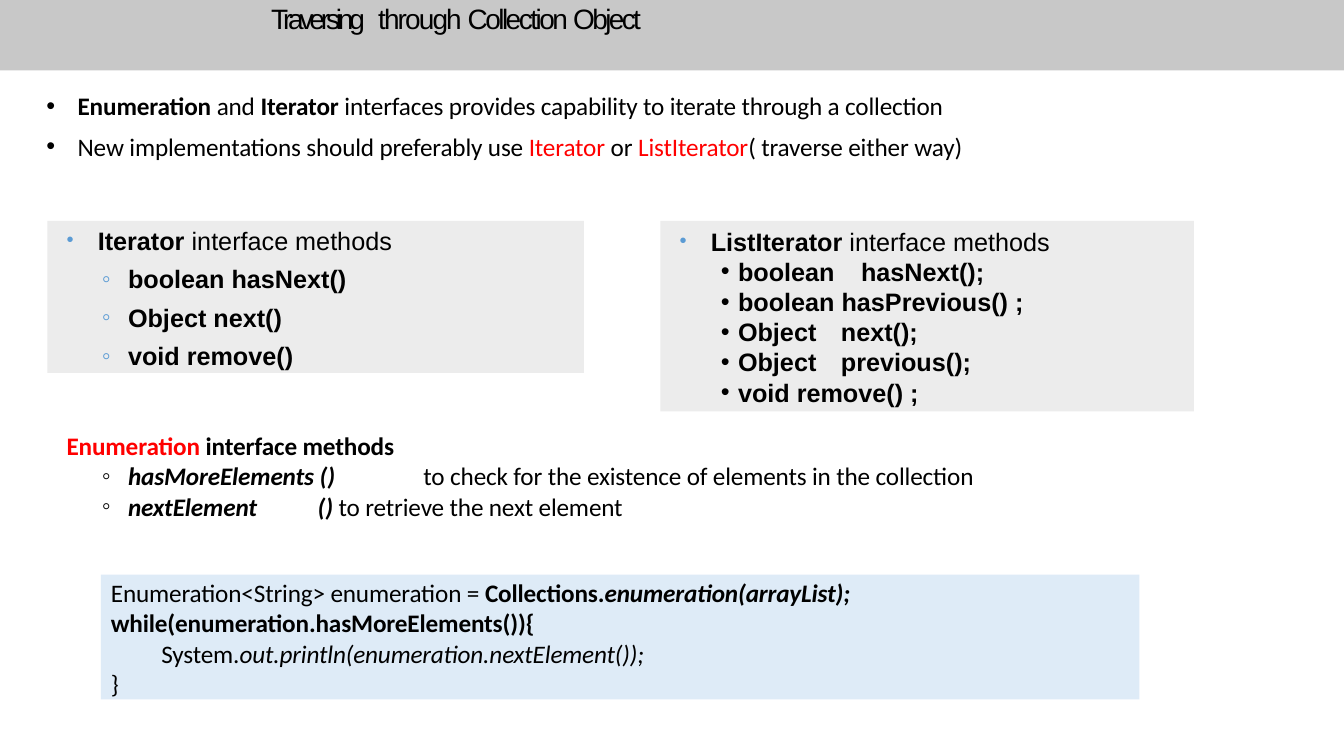
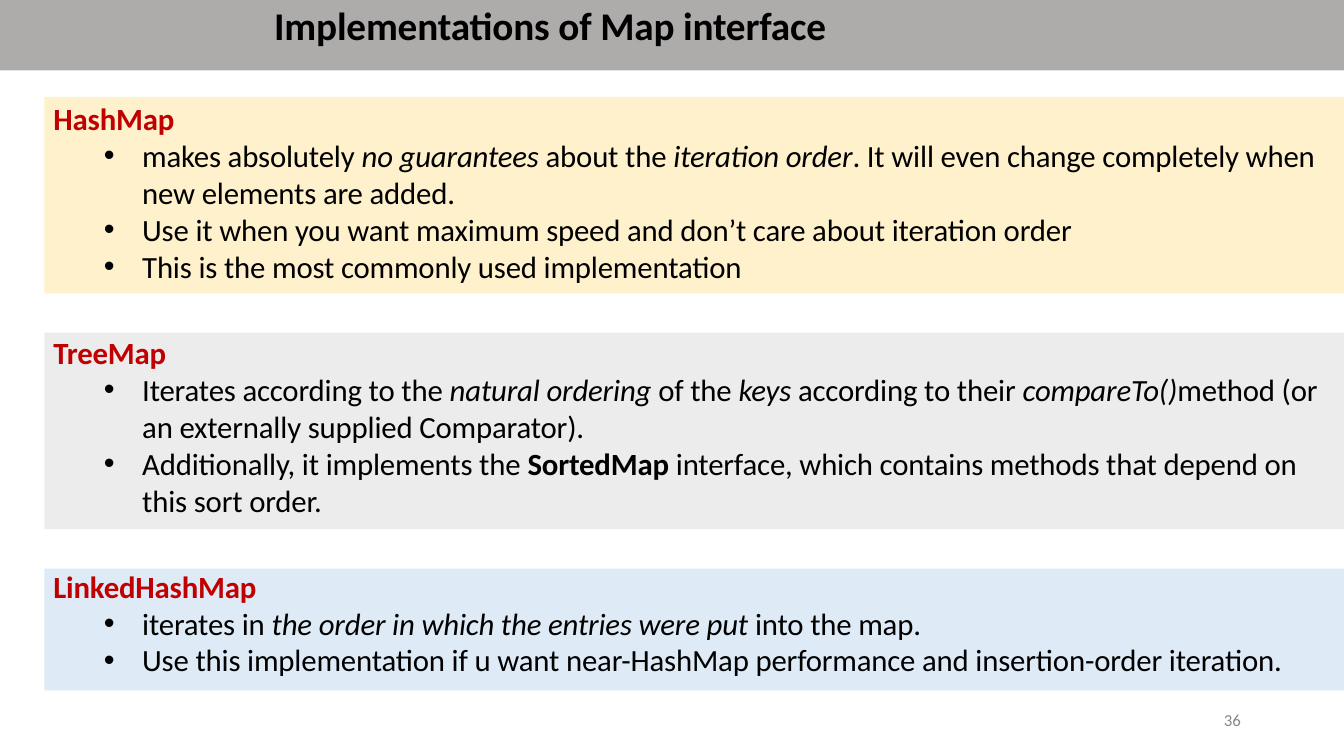
import lxml.etree
import pptx
import pptx.dml.color
import pptx.enum.shapes
import pptx.enum.text
import pptx.oxml.ns
import pptx.util

EMU_PER_PX = 9144
SLIDE_WIDTH, SLIDE_HEIGHT = 1333, 750
TITLE_ONLY, TITLE_AND_BODY = 5, 1

BLACK, RED, DARK_RED, BULLET_BLUE = "000000", "FF0000", "C00000", "5B9BD4"
GREY, PALE_BLUE, PALE_YELLOW = "ECECEC", "DEEBF7", "FFF1CC"

BOLD = {"bold": True}
ITALIC = {"italic": True}
BOLD_ITALIC = BOLD | ITALIC
HIGHLIGHT = {"color": RED}

CALIBRI = {"name": "Calibri", "size": 18, "color": BLACK, "spacing": -0.1}
ARIAL = {"name": "Arial", "size": 18, "color": BLACK}
LARGE = CALIBRI | {"size": 22}

PLAIN = {"left": 1}
TOP_BULLET = {"left": 32, "hang": 31, "bullet": "•"}
PANEL_BULLET = {"left": 50, "hang": 31, "bullet": "•",
                "bullet_colour": BULLET_BLUE, "bullet_size": 80}
RING = {"left": 80, "hang": 26, "bullet": "◦", "level": 1,
        "bullet_colour": BULLET_BLUE, "before": 6}
DOT = {"left": 77, "hang": 17, "bullet": "•", "level": 1, "line": 21.6}
MAP_BULLET = {"left": 89, "hang": 38, "bullet": "•"}


def px(length):
    return pptx.util.Emu(length * EMU_PER_PX)


def colour(value):
    return pptx.dml.color.RGBColor.from_string(value)


def add_child(parent, tag, **attributes):
    child = lxml.etree.SubElement(parent, pptx.oxml.ns.qn(tag))
    for name, value in attributes.items():
        child.set(name, str(value))
    return child


def set_attributes(target, values):
    for name, value in values.items():
        setattr(target, name, value)


def place(shape, box):
    names = ("left", "top", "width", "height")
    set_attributes(shape, {name: px(value) for name, value in zip(names, box)})


def format_paragraph(paragraph, style):
    properties = paragraph._p.get_or_add_pPr()
    hang = style.get("hang", 0)
    properties.set("marL", str(px(style["left"])))
    properties.set("indent", str(px(-hang)))
    if "bullet" in style:
        if "bullet_colour" in style:
            bullet_colour = add_child(properties, "a:buClr")
            add_child(bullet_colour, "a:srgbClr", val=style["bullet_colour"])
        if "bullet_size" in style:
            add_child(properties, "a:buSzPct", val=style["bullet_size"] * 1000)
        add_child(properties, "a:buFont", typeface="Arial")
        add_child(properties, "a:buChar", char=style["bullet"])
    else:
        add_child(properties, "a:buNone")
    if "tab" in style:
        tabs = add_child(properties, "a:tabLst")
        add_child(tabs, "a:tab", pos=px(style["tab"]), algn="l")
    set_attributes(paragraph, {
        "level": style.get("level", 0),
        "alignment": pptx.enum.text.PP_ALIGN.LEFT,
        "space_before": pptx.util.Pt(style.get("before", 0)),
        "space_after": pptx.util.Pt(0),
        "line_spacing": pptx.util.Pt(style["line"]) if "line" in style else 1.0,
    })


def add_run(paragraph, text, style):
    run = paragraph.add_run()
    run.text = text
    run.font.color.rgb = colour(style["color"])
    set_attributes(run.font, {
        "name": style["name"],
        "size": pptx.util.Pt(style["size"]),
        "bold": style.get("bold", False),
        "italic": style.get("italic", False),
    })
    if "spacing" in style:
        run._r.get_or_add_rPr().set("spc", str(round(style["spacing"] * 100)))


def write_text(shape, font, paragraphs, inset_top=1):
    frame = shape.text_frame
    set_attributes(frame, {
        "word_wrap": True,
        "auto_size": pptx.enum.text.MSO_AUTO_SIZE.NONE,
        "vertical_anchor": pptx.enum.text.MSO_ANCHOR.TOP,
        "margin_left": 0, "margin_right": 0, "margin_bottom": 0,
        "margin_top": px(inset_top),
    })
    for index, (style, runs) in enumerate(paragraphs):
        paragraph = frame.add_paragraph() if index else frame.paragraphs[0]
        format_paragraph(paragraph, style)
        for run in runs:
            text, changes = (run, {}) if isinstance(run, str) else run
            add_run(paragraph, text, font | changes)


def add_panel(slide, box, fill):
    panel = slide.shapes.add_shape(
        pptx.enum.shapes.MSO_SHAPE.RECTANGLE, *map(px, box))
    panel.shadow.inherit = False
    panel.fill.solid()
    panel.fill.fore_color.rgb = colour(fill)
    panel.line.fill.background()
    panel.element.getparent().insert(2, panel.element)
    return panel


def add_text_box(slide, box, font, paragraphs):
    text_box = slide.shapes.add_textbox(*map(px, box))
    write_text(text_box, font, paragraphs)


def add_titled_slide(presentation, layout, band_fill, title_left, font, runs):
    slide = presentation.slides.add_slide(presentation.slide_layouts[layout])
    add_panel(slide, (0, 0, SLIDE_WIDTH, 70), band_fill)
    place(slide.shapes.title, (title_left, 0, 795, 48))
    write_text(slide.shapes.title, font, [(PLAIN, runs)])
    return slide


def add_body(slide, box, font, paragraphs, inset_top=1):
    body = slide.placeholders[1]
    place(body, box)
    write_text(body, font, paragraphs, inset_top)


def add_iterator_panels(slide, box):
    left, top, width, height = box
    iterator = add_panel(slide, (left, top, 532, 151), GREY)
    methods = ("boolean hasNext()", "Object next()", "void remove()")
    write_text(iterator, ARIAL, [
        (PANEL_BULLET, [("Iterator ", BOLD), "interface methods"]),
        *[(RING, [(method, BOLD)]) for method in methods],
    ], 4)
    list_left = left + 608
    list_iterator = add_panel(
        slide, (list_left, top, left + width - list_left, height), GREY)
    list_methods = (
        ("boolean\thasNext();", 199),
        ("boolean hasPrevious() ;", 199),
        ("Object\tnext();", 179),
        ("Object\tprevious();", 179),
        ("void remove() ;", 179),
    )
    write_text(list_iterator, ARIAL, [
        (PANEL_BULLET | {"line": 25.2},
         [("ListIterator ", BOLD), "interface methods"]),
        *[(DOT | {"tab": tab}, [(method, BOLD)]) for method, tab in list_methods],
    ], 0)


def add_enumeration_methods(slide, box):
    item = {"left": 62, "hang": 26, "bullet": "◦"}
    add_text_box(slide, box, CALIBRI, [
        (PLAIN, [("Enumeration ", BOLD | HIGHLIGHT), ("interface methods", BOLD)]),
        (item | {"tab": 355}, [
            ("hasMoreElements ()\t", BOLD_ITALIC),
            "to check for the existence of elements in the collection"]),
        (item | {"tab": 250}, [
            ("nextElement\t() ", BOLD_ITALIC), "to retrieve the next element"]),
    ])


def add_code_panel(slide, box):
    code, nested = {"left": 10}, {"left": 60}
    write_text(add_panel(slide, box, PALE_BLUE), CALIBRI, [
        (code, ["Enumeration<String> enumeration = ", ("Collections.", BOLD),
                ("enumeration(arrayList);", BOLD_ITALIC)]),
        (code, [("while(enumeration.hasMoreElements()){", BOLD)]),
        (nested, ["System.",
                  ("out.println(enumeration.nextElement());", ITALIC)]),
        (code, ["}"]),
    ], 3)


def build_traversing_slide(presentation):
    slide = add_titled_slide(
        presentation, TITLE_AND_BODY, "C8C8C8", 268, ARIAL | {"size": 20}, [
            ("Traversing", {"spacing": -3}), (" ", {"spacing": 4}),
            ("through ", {"spacing": -1.4}), ("Collection ", {"spacing": -1.8}),
            ("Object", {"spacing": -1.9})])
    add_body(slide, (45, 79, 1221, 82), CALIBRI, [
        (TOP_BULLET, [
            ("Enumeration ", BOLD), "and ", ("Iterator ", BOLD),
            "interfaces provides capability to iterate through a collection"]),
        (TOP_BULLET | {"before": 7.2}, [
            "New implementations should preferably use ",
            ("Iterator ", HIGHLIGHT), "or ", ("ListIterator", HIGHLIGHT),
            "( traverse either way)"]),
    ], 11)
    add_iterator_panels(slide, (47, 219, 1137, 189))
    add_enumeration_methods(slide, (65, 426, 1095, 92))
    add_code_panel(slide, (100, 570, 1030, 124))


def add_map_sections(slide, box, sections):
    left, top, width, gap = box
    paragraphs = []
    panel_top = top
    for name, fill, height, items in sections:
        add_panel(slide, (left, panel_top, width, height), fill)
        panel_top += height + gap
        heading = PLAIN | {"before": 35 if paragraphs else 0}
        paragraphs.append((heading, [(name, BOLD | {"color": DARK_RED})]))
        paragraphs += [(MAP_BULLET, runs) for runs in items]
    add_body(slide, (left + 8, top + 2, 1270, 579), LARGE, paragraphs)


def build_map_slide(presentation):
    slide = add_titled_slide(
        presentation, TITLE_AND_BODY, "AEABAB", 271,
        CALIBRI | BOLD | {"size": 28}, ["Implementations of Map interface"])
    add_map_sections(slide, (44, 96, 1289, 39), [
        ("HashMap", PALE_YELLOW, 195, [
            ["makes absolutely ", ("no guarantees ", ITALIC), "about the ",
             ("iteration order", ITALIC),
             ". It will even change completely when new elements are added."],
            ["Use it when you want maximum speed and don’t care about "
             "iteration order"],
            ["This is the most commonly used implementation"]]),
        ("TreeMap", GREY, 195, [
            ["Iterates according to the ", ("natural ordering ", ITALIC),
             "of the ", ("keys ", ITALIC), "according to their ",
             ("compareTo()", ITALIC),
             "method (or an externally supplied Comparator)."],
            ["Additionally, it implements the ", ("SortedMap ", BOLD),
             "interface, which contains methods that depend on "
             "this sort order."]]),
        ("LinkedHashMap", PALE_BLUE, 121, [
            ["iterates in ", ("the order in which the entries were put ", ITALIC),
             "into the map."],
            ["Use this implementation if u want near-HashMap performance and "
             "insertion-order iteration."]]),
    ])
    add_text_box(slide, (1213, 703, 30, 23),
                 CALIBRI | {"size": 12, "color": "888888", "spacing": 0},
                 [(PLAIN, ["36"])])


def main():
    presentation = pptx.Presentation()
    set_attributes(presentation, {
        "slide_width": px(SLIDE_WIDTH), "slide_height": px(SLIDE_HEIGHT)})
    build_traversing_slide(presentation)
    build_map_slide(presentation)
    presentation.save("out.pptx")


if __name__ == "__main__":
    main()
